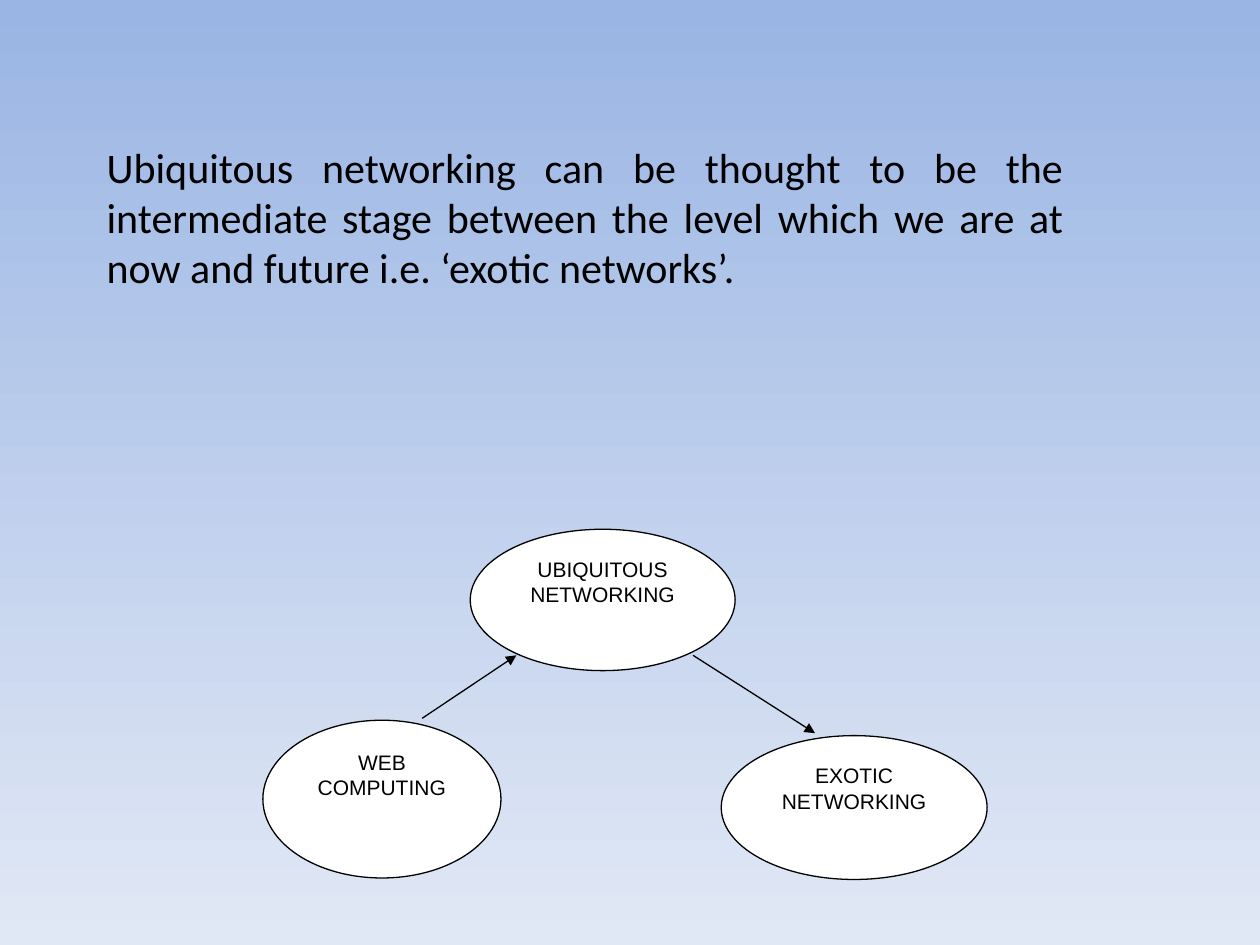
from dataclasses import dataclass

from lxml.etree import SubElement
from pptx import Presentation
from pptx.dml.color import RGBColor
from pptx.enum.shapes import MSO_CONNECTOR, MSO_SHAPE
from pptx.enum.text import MSO_ANCHOR, PP_ALIGN
from pptx.oxml.ns import qn
from pptx.util import Cm, Pt


@dataclass(frozen=True)
class Theme:
    sky_top: RGBColor = RGBColor.from_string("9AB5E4")
    sky_bottom: RGBColor = RGBColor.from_string("E1E8F5")
    ink: RGBColor = RGBColor.from_string("000000")
    stage_fill: RGBColor = RGBColor.from_string("FFFFFF")
    statement_font: str = "Calibri"
    stage_font: str = "Arial"
    statement_size: Pt = Pt(24)
    stage_size: Pt = Pt(12)
    line_width: Pt = Pt(0.75)


theme = Theme()


def format_paragraph(paragraph, font_name, size, alignment):
    paragraph.alignment = alignment
    paragraph.font.name = font_name
    paragraph.font.size = size
    paragraph.font.color.rgb = theme.ink


presentation = Presentation()
presentation.slide_width, presentation.slide_height = Cm(25.4), Cm(19.05)
slide = presentation.slides.add_slide(presentation.slide_layouts[6])

# Background gradient, running downwards
background = slide.background.fill
background.gradient()
background.gradient_angle = 270
for stop, color in zip(background.gradient_stops, (theme.sky_top, theme.sky_bottom)):
    stop.color.rgb = color
background.gradient_stops[0].position = 0
background.gradient_stops[1].position = 1

# Stages of networking: left, top, width, height in cm
stages = [
    (("WEB", "COMPUTING"), (5.3, 14.52, 4.8, 3.18)),
    (("UBIQUITOUS", "NETWORKING"), (9.48, 10.67, 5.34, 2.85)),
    (("EXOTIC", "NETWORKING"), (14.54, 14.83, 5.36, 2.9)),
]
for words, bounds in stages:
    stage = slide.shapes.add_shape(MSO_SHAPE.OVAL, *map(Cm, bounds))
    stage.shadow.inherit = False
    stage.fill.solid()
    stage.fill.fore_color.rgb = theme.stage_fill
    stage.line.color.rgb = theme.ink
    stage.line.width = theme.line_width
    label = stage.text_frame
    label.vertical_anchor = MSO_ANCHOR.TOP
    label.text = "\n".join(words)
    for paragraph in label.paragraphs:
        format_paragraph(paragraph, theme.stage_font, theme.stage_size, PP_ALIGN.CENTER)

# Arrows from each stage to the next: start x, y and end x, y in cm
for ends in [(8.51, 14.48, 10.41, 13.21), (13.97, 13.21, 16.43, 14.78)]:
    step = slide.shapes.add_connector(MSO_CONNECTOR.STRAIGHT, *map(Cm, ends))
    step.line.color.rgb = theme.ink
    step.line.width = theme.line_width
    SubElement(step.line._get_or_add_ln(), qn("a:tailEnd"), type="triangle")
    SubElement(step._element.spPr, qn("a:effectLst"))

# Statement
statement = slide.shapes.add_textbox(Cm(1.9), Cm(2.72), Cm(19.79), Cm(4.32)).text_frame
statement.word_wrap = True
statement.text = (
    "Ubiquitous networking can be thought to be the intermediate stage between "
    "the level which we are at now and future i.e. ‘exotic networks’."
)
format_paragraph(statement.paragraphs[0], theme.statement_font, theme.statement_size,
                 PP_ALIGN.JUSTIFY)

presentation.save("out.pptx")
